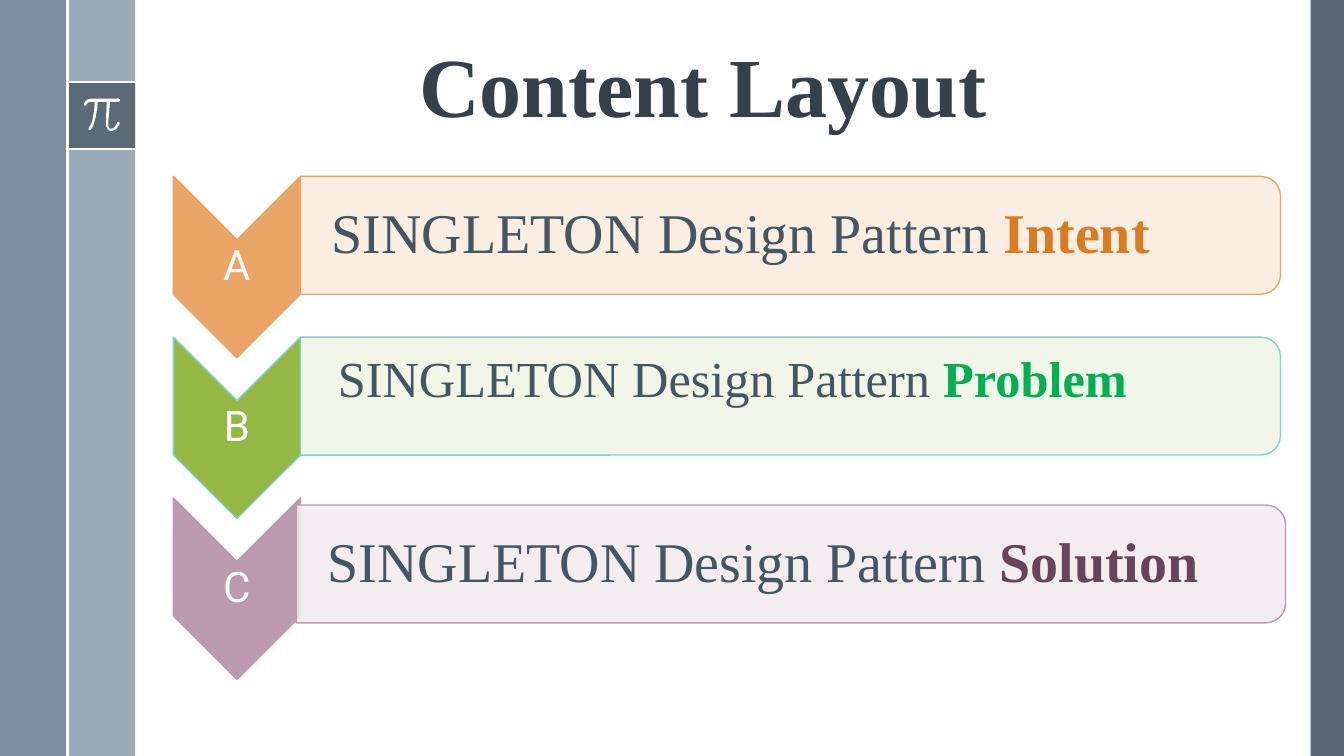
from dataclasses import dataclass

from lxml.etree import SubElement
from pptx import Presentation
from pptx.dml.color import RGBColor
from pptx.enum.shapes import MSO_CONNECTOR, MSO_SHAPE
from pptx.enum.text import MSO_ANCHOR, MSO_AUTO_SIZE, PP_ALIGN
from pptx.oxml.ns import qn
from pptx.util import Pt

PX = 9144
SLIDE_WIDTH, SLIDE_HEIGHT = 1333, 750


@dataclass(frozen=True)
class Theme:
    serif: str = "Times New Roman"
    sans: str = "Roboto"
    white: str = "FFFFFF"
    dark: str = "475562"
    outer_band: str = "6A8093"
    inner_band: str = "9BAAB7"
    title: str = "35404A"
    text: str = "465562"
    title_size: int = 60
    letter_size: int = 30


@dataclass(frozen=True)
class Item:
    letter: str
    keyword: str
    keyword_color: str
    chevron: str
    outline: str
    bar: str
    size: int = 40
    bar_left: int = 126
    bar_top: int = 0
    bar_width: int = 972
    text_indent: int = 31
    text_shift: int = 0


THEME = Theme()
ITEMS = [
    Item("A", "Intent", "D97B20", "E8A565", "E8A565", "FAEDE0"),
    Item("B", "Problem", "00B050", "95B845", "80D1CD", "F1F6E6",
         size=36, text_indent=37, text_shift=-15),
    Item("C", "Solution", "674459", "BC9AAE", "BC9AAE", "F2EBEF",
         bar_left=122, bar_top=7, bar_width=981),
]
PI_OUTLINE = [
    (350, 0), (70, 0), (40, 8), (15, 28), (2, 55), (5, 68), (15, 70), (24, 64),
    (40, 40), (70, 30), (110, 30), (105, 110), (90, 200), (75, 250), (50, 290),
    (48, 303), (58, 312), (70, 308), (95, 270), (120, 180), (135, 100), (140, 30),
    (230, 30), (220, 240), (222, 270), (240, 305), (262, 318), (290, 318),
    (325, 300), (348, 265), (360, 240), (350, 230), (335, 232), (325, 255),
    (305, 285), (280, 298), (258, 295), (246, 275), (244, 240), (262, 30),
    (350, 30), (360, 22), (362, 10),
]


def px(*lengths):
    return [round(length * PX) for length in lengths]


def paint(shape, fill, outline=None, opacity=100):
    shape.shadow.inherit = False
    shape.fill.solid()
    shape.fill.fore_color.rgb = RGBColor.from_string(fill)
    if opacity < 100:
        color = shape.fill._xPr.find(qn("a:solidFill"))[0]
        SubElement(color, qn("a:alpha"), val=str(opacity * 1000))
    if outline:
        shape.line.color.rgb = RGBColor.from_string(outline)
        shape.line.width = Pt(1)
    else:
        shape.line.fill.background()


def add_rectangle(slide, box, fill, opacity=100):
    shape = slide.shapes.add_shape(MSO_SHAPE.RECTANGLE, *px(*box))
    paint(shape, fill, opacity=opacity)


def add_turned_shape(slide, kind, box, fill, outline, opacity=100):
    left, top, width, height = box
    shift = (width - height) / 2
    shape = slide.shapes.add_shape(kind, *px(left + shift, top - shift, height, width))
    shape.rotation = 90
    paint(shape, fill, outline, opacity)


def add_white_line(slide, start, end):
    line = slide.shapes.add_connector(MSO_CONNECTOR.STRAIGHT, *px(*start, *end))
    line.line.color.rgb = RGBColor.from_string(THEME.white)
    line.line.width = Pt(1.5)
    SubElement(line._element.spPr, qn("a:effectLst"))


def write_paragraph(paragraph, pieces, font_name, size, alignment):
    paragraph.alignment = alignment
    paragraph.line_spacing = 0.9
    paragraph.font.name = font_name
    paragraph.font.size = Pt(size)
    for text, color, bold in pieces:
        run = paragraph.add_run()
        run.text = text
        run.font.bold = bold
        run.font.color.rgb = RGBColor.from_string(color)


def add_text(slide, box, pieces, font_name, size, alignment, indent=0):
    frame = slide.shapes.add_textbox(*px(*box)).text_frame
    frame.word_wrap = True
    frame.vertical_anchor = MSO_ANCHOR.MIDDLE
    frame.margin_left, frame.margin_right = px(indent, 0)
    frame.margin_top = frame.margin_bottom = 0
    write_paragraph(frame.paragraphs[0], pieces, font_name, size, alignment)


def add_pi(slide, left, top):
    points = [(left * 10 + x, top * 10 + y) for x, y in PI_OUTLINE]
    builder = slide.shapes.build_freeform(*points[0], scale=PX / 10)
    builder.add_line_segments(points[1:], close=True)
    paint(builder.convert_to_shape(), THEME.white)


def add_side_bands(slide, box):
    left, top, width, height = box
    band = 67
    middle, badge_top = left + band, top + 81
    add_rectangle(slide, (left + width - 33, top, 33, height), THEME.dark, 90)
    add_rectangle(slide, (middle, top, band, height), THEME.inner_band)
    add_rectangle(slide, (left, top, band, height), THEME.outer_band, 88)
    add_rectangle(slide, (middle, badge_top, band, band), THEME.dark, 75)
    for y in (badge_top, badge_top + band):
        add_white_line(slide, (middle, y), (middle + band, y))
    add_pi(slide, middle + 16, badge_top + 17)
    add_white_line(slide, (middle, top), (middle, top + height))


def place_title(slide, box, text):
    title = slide.shapes.title
    title.left, title.top, title.width, title.height = px(*box)
    frame = title.text_frame
    frame.auto_size = MSO_AUTO_SIZE.NONE
    frame.vertical_anchor = MSO_ANCHOR.BOTTOM
    write_paragraph(frame.paragraphs[0], [(text, THEME.title, True)],
                    THEME.serif, THEME.title_size, PP_ALIGN.CENTER)


def add_item(slide, box, item):
    left, top, width, height = box
    chevron = (left, top, 126, height)
    bar_left, bar_top = left + item.bar_left, top + item.bar_top
    add_turned_shape(slide, MSO_SHAPE.CHEVRON, chevron, item.chevron, item.outline)
    add_text(slide, chevron, [(item.letter, THEME.white, False)],
             THEME.sans, THEME.letter_size, PP_ALIGN.CENTER)
    add_turned_shape(slide, MSO_SHAPE.ROUND_2_SAME_RECTANGLE,
                     (bar_left, bar_top, item.bar_width, 117),
                     item.bar, item.outline, 90)
    pieces = [("SINGLETON Design Pattern ", THEME.text, False),
              (item.keyword, item.keyword_color, True)]
    add_text(slide, (bar_left, bar_top + item.text_shift, item.bar_width, 117),
             pieces, THEME.serif, item.size, PP_ALIGN.LEFT, item.text_indent)


def add_items(slide, box):
    left, top, width, height = box
    item_height = 180
    pitch = (height - item_height) / (len(ITEMS) - 1)
    for index, item in enumerate(ITEMS):
        add_item(slide, (left, top + index * pitch, width, item_height), item)


def main():
    presentation = Presentation()
    presentation.slide_width, presentation.slide_height = px(SLIDE_WIDTH, SLIDE_HEIGHT)
    slide = presentation.slides.add_slide(presentation.slide_layouts[5])
    add_side_bands(slide, (0, 0, SLIDE_WIDTH, SLIDE_HEIGHT))
    place_title(slide, (162, 44, 1070, 96), "Content Layout")
    add_items(slide, (172, 175, 1103, 499))
    presentation.save("out.pptx")


if __name__ == "__main__":
    main()
